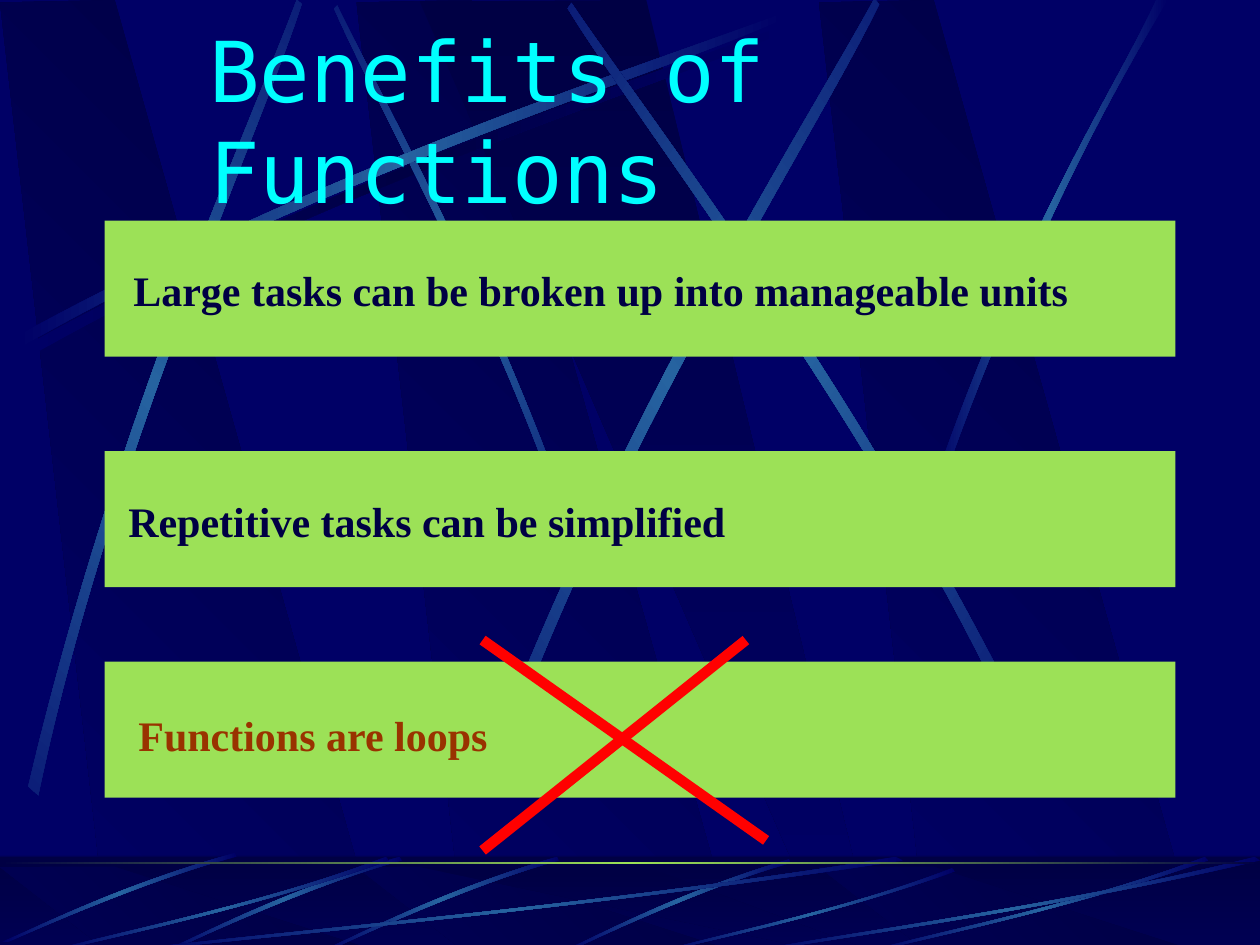
from pptx import Presentation
from pptx.dml.color import RGBColor
from pptx.enum.shapes import MSO_CONNECTOR, MSO_SHAPE
from pptx.enum.text import MSO_ANCHOR, MSO_AUTO_SIZE, PP_ALIGN
from pptx.oxml.ns import qn
from pptx.oxml.xmlchemy import OxmlElement
from pptx.util import Inches, Pt

RECT, STRAIGHT = MSO_SHAPE.RECTANGLE, MSO_CONNECTOR.STRAIGHT
LEFT, TOP = PP_ALIGN.LEFT, MSO_ANCHOR.TOP
GROW = MSO_AUTO_SIZE.SHAPE_TO_FIT_TEXT
NAVY, BLUE, STEEL, LIME = "000044", "000066", "2663A0", "9CE157"
CYAN, RUST, RED = "00FFFF", "993300", "FF0000"

TITLE = ("Benefits of Functions", (1.56, 0.1, 6.77, 0.9))
# bar top, text, text box, text colour
BENEFITS = [
    (1.75, "Large tasks can be broken up into manageable units", (0.96, 2.05, 7.62, 0.5), NAVY),
    (3.58, "Repetitive tasks can be simplified", (0.92, 3.88, 4.94, 0.5), NAVY),
    (5.25, "Functions are loops", (1, 5.58, 2.98, 0.5), RUST),
]
CROSS = [(3.83, 5.08, 6.08, 6.67), (5.92, 5.08, 3.83, 6.75)]

# Backdrop panels: corners and gradient angle
SLANT = [(0.86, 7.5), (3.02, 7.52), (0.91, 0), (0, 0.02)]
PANELS = [([(x + dx, y) for x, y in SLANT], 135) for dx in (2.83, 0, 6.5)]
PANELS.append(([(3.33, 0.01), (6.58, 7.51), (6.94, 7.51), (5.13, 0)], 90))
FLOOR_TOP, FLOOR_SCALE = 6.88, 0.09

# Two cubic curves, out and back, within a unit box
BEAM = [(0, 0.96), (0.43, 0.43), (0.83, 0.15), (1, 0),
        (1, 0.02), (0.83, 0.19), (0.38, 0.5), (0, 1)]
RAY = [(0, 0.99), (0.4, 0.44), (0.79, 0.17), (0.95, 0),
       (1, 0), (0.52, 0.37), (0.16, 0.81), (0.03, 1)]
BLADE = [(0.99, 0), (0.49, 0.37), (0.16, 0.82), (0, 0.99),
         (0.02, 1), (0.23, 0.75), (0.68, 0.25), (1, 0.04)]
SWEEP = [(1, 0.04), (0.57, 0.57), (0.17, 0.85), (0.01, 1),
         (0, 0.99), (0.17, 0.81), (0.62, 0.51), (0.99, 0)]

# curve, box, rotation, mirrored, middle colour
WALL_STREAKS = [
    (BEAM, (0.2, 0.18, 6.08, 2.67), 0, False, NAVY),
    (BEAM, (1.41, 1.35, 4.42, 1.75), 45, True, STEEL),
    (BEAM, (0.14, 0.1, 6.08, 2.67), 0, False, STEEL),
    (BEAM, (-1.71, 1.82, 6.08, 2.67), 311.7, False, STEEL),
    (BEAM, (2.31, 1.6, 6.24, 3.01), 321.6, False, STEEL),
    (BEAM, (3.23, 1.52, 6.08, 2.67), 34.8, True, STEEL),
    (RAY, (7.38, 0, 1.89, 3.97), 0, False, STEEL),
]
BLADES = [(4.48, 6.82, 1.8, 0.73), (2.56, 6.8, 1.88, 0.75),
          (1.31, 6.8, 1.88, 0.75), (0.02, 6.77, 1.86, 0.71)]
SWEEPS = [(1, 6.8, 6.17, 0.75), (0.42, 6.8, 2.67, 0.75), (5.27, 6.89, 2.31, 0.66),
          (6.92, 6.8, 2.67, 0.75), (6, 6.8, 4, 0.75)]
FLOOR_STREAKS = ([(BLADE, box, 0, False, STEEL) for box in BLADES]
                 + [(SWEEP, box, 0, False, STEEL) for box in SWEEPS])


def rgb(colour):
    return RGBColor.from_string(colour)


def paint(shape, colours, angle=0, alpha=None):
    """Fill with one colour, or with a gradient of evenly spaced colours."""
    shape.shadow.inherit = False
    shape.line.fill.background()
    if len(colours) == 1:
        shape.fill.solid()
        shape.fill.fore_color.rgb = rgb(colours[0])
        if alpha is not None:
            opacity = OxmlElement("a:alpha")
            opacity.set("val", str(alpha * 1000))
            next(shape._element.spPr.iter(qn("a:srgbClr"))).append(opacity)
        return
    shape.fill.gradient()
    shape.fill.gradient_angle = 360 - angle
    stops = next(shape._element.spPr.iter(qn("a:gsLst")))
    for old in list(stops):
        stops.remove(old)
    for i, colour in enumerate(colours):
        stop = OxmlElement("a:gs")
        stop.set("pos", str(100000 * i // (len(colours) - 1)))
        value = OxmlElement("a:srgbClr")
        value.set("val", colour)
        stop.append(value)
        stops.append(stop)


def add_rect(slide, box, colours, **style):
    paint(slide.shapes.add_shape(RECT, *map(Inches, box)), colours, **style)


def add_outline(slide, points, colours, angle):
    corners = [(Inches(x), Inches(y)) for x, y in points]
    builder = slide.shapes.build_freeform(*corners[0])
    builder.add_line_segments(corners[1:], close=True)
    shape = builder.convert_to_shape()
    paint(shape, colours, angle)
    return shape


def bend(segments):
    """Turn three straight segments into one cubic curve."""
    curve = OxmlElement("a:cubicBezTo")
    segments[0].addprevious(curve)
    for segment in segments:
        curve.append(segment[0])
        segment.getparent().remove(segment)


def add_streak(slide, curve, box, rotation, mirrored, middle):
    left, top, width, height = box
    points = [(left + width * (1 - x if mirrored else x), top + height * y) for x, y in curve]
    streak = add_outline(slide, points, [BLUE, middle, BLUE], 180)
    streak.rotation = rotation
    segments = list(streak._element.spPr.iter(qn("a:lnTo")))
    bend(segments[:3])
    bend(segments[4:7])


def write(shape, text, box, *, size, font, colour, bold=False, wrap=False):
    shape.left, shape.top, shape.width, shape.height = map(Inches, box)
    frame = shape.text_frame
    frame.text = text
    frame.word_wrap, frame.auto_size, frame.vertical_anchor = wrap, GROW, TOP
    paragraph = frame.paragraphs[0]
    paragraph.alignment = LEFT
    style = paragraph.runs[0].font
    style.size, style.name, style.bold = Pt(size), font, bold
    style.color.rgb = rgb(colour)


def add_backdrop(slide):
    for corners, angle in PANELS:
        add_outline(slide, corners, [NAVY, BLUE], angle)
    for streak in WALL_STREAKS:
        add_streak(slide, *streak)
    add_rect(slide, (0, 6.8, 10, 0.75), [NAVY, BLUE], angle=90)
    for corners, angle in PANELS:
        floor = [(x, FLOOR_TOP + FLOOR_SCALE * y) for x, y in corners]
        add_outline(slide, floor, [NAVY, BLUE], angle)
    add_rect(slide, (0, 6.79, 10, 0.75), [NAVY], alpha=50)
    for streak in FLOOR_STREAKS:
        add_streak(slide, *streak)
    add_rect(slide, (0, 6.84, 10, 0.02), [NAVY, LIME, NAVY], angle=180)


def move_to_master(slide, master):
    """Put the slide's drawn shapes behind the placeholders of the master."""
    drawn = [shape for shape in slide.shapes if not shape.is_placeholder]
    for i, shape in enumerate(drawn):
        shape._element.nvSpPr.cNvPr.set("id", str(100 + i))
        master.shapes._spTree.insert(2 + i, shape._element)


def add_cross(slide):
    for ends in CROSS:
        stroke = slide.shapes.add_connector(STRAIGHT, *map(Inches, ends))
        stroke.line.color.rgb = rgb(RED)
        stroke.line.width = Pt(6)
        stroke._element.spPr.append(OxmlElement("a:effectLst"))


def main():
    deck = Presentation()
    deck.slide_width, deck.slide_height = Inches(10), Inches(7.5)
    slide = deck.slides.add_slide(deck.slide_layouts[5])
    backdrop = deck.slide_master.background.fill
    backdrop.solid()
    backdrop.fore_color.rgb = rgb(BLUE)
    add_backdrop(slide)
    move_to_master(slide, deck.slide_master)
    write(slide.shapes.title, *TITLE, size=48, font="DejaVu Sans Mono", colour=CYAN, wrap=True)
    for top, text, box, colour in BENEFITS:
        add_rect(slide, (0.83, top, 8.5, 1.08), [LIME])
        label = slide.shapes.add_textbox(*map(Inches, box))
        write(label, text, box, size=24, font="Times New Roman", colour=colour, bold=True)
    add_cross(slide)
    deck.save("out.pptx")


if __name__ == "__main__":
    main()
